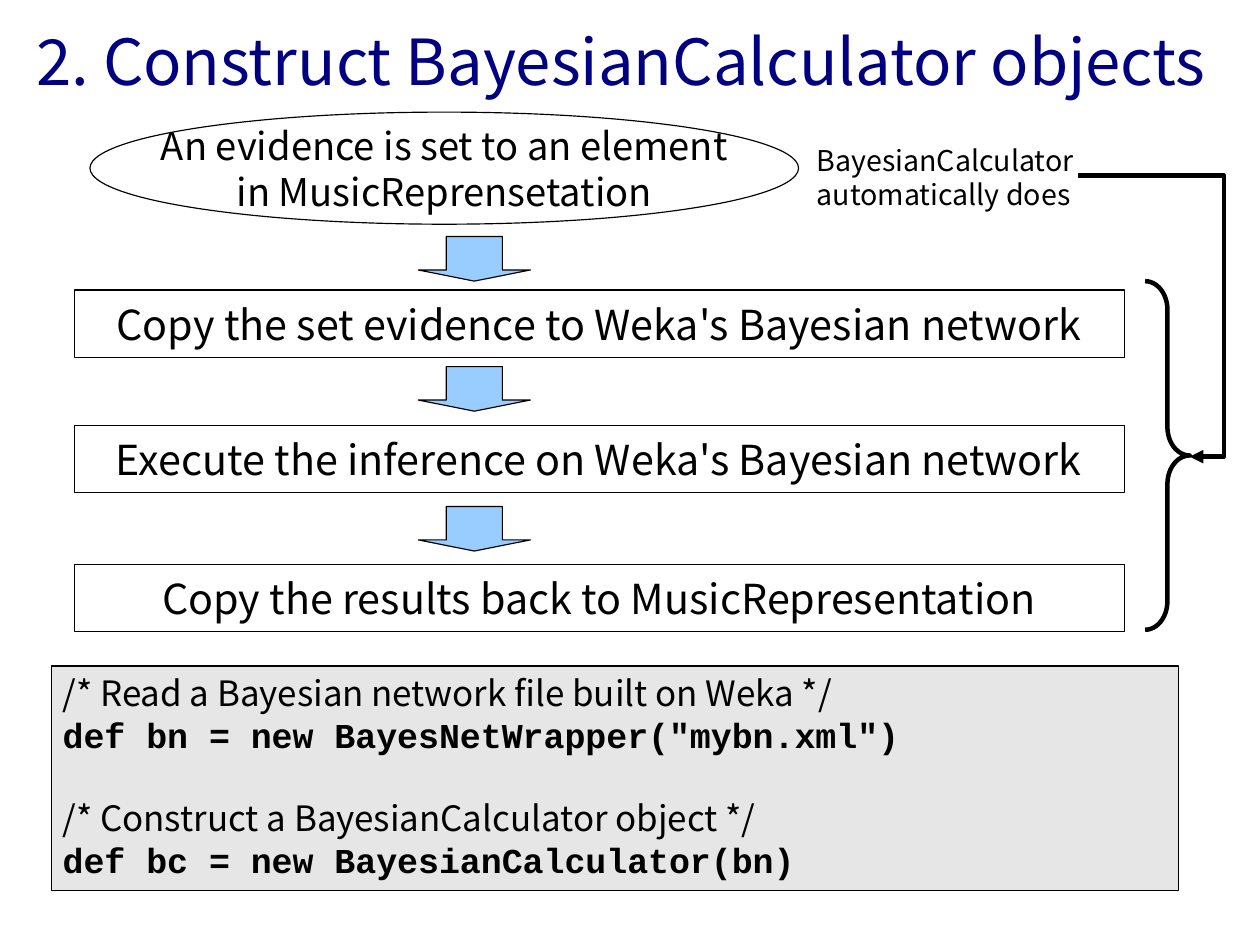
from dataclasses import dataclass

from lxml import etree
from pptx import Presentation
from pptx.dml.color import RGBColor
from pptx.enum.shapes import MSO_SHAPE as Shp
from pptx.enum.text import MSO_ANCHOR as Anchor, PP_ALIGN as Align
from pptx.oxml.ns import qn
from pptx.util import Pt

SANS = "Noto Sans CJK JP"
MONO = "Courier New"
BLACK = "000000"


@dataclass
class Box:
    left: float
    top: float
    width: float
    height: float

    def lengths(self) -> list:
        return [Pt(v) for v in (self.left, self.top, self.width, self.height)]


@dataclass
class Step:
    text: str
    arrow_top: float
    top: float


STEPS = [
    Step("Copy the set evidence to Weka's Bayesian network", 149, 182.7),
    Step("Execute the inference on Weka's Bayesian network", 230.9, 267.8),
    Step("Copy the results back to MusicRepresentation", 319, 355.5),
]
CODE = [
    "/* Read a Bayesian network file built on Weka */",
    'def bn = new BayesNetWrapper("mybn.xml")',
    "/* Construct a BayesianCalculator object */",
    "def bc = new BayesianCalculator(bn)",
]


def rgb(color: str) -> RGBColor:
    return RGBColor.from_string(color)


def style(sp, fill: str = "", line: float = 0) -> None:
    sp.shadow.inherit = False
    if fill:
        sp.fill.solid()
        sp.fill.fore_color.rgb = rgb(fill)
    else:
        sp.fill.background()
    sp.line.color.rgb = rgb(BLACK)
    sp.line.width = Pt(line)


def add_shape(s, kind: Shp, box: Box, fill: str = "", line: float = 0):
    sp = s.shapes.add_shape(kind, *box.lengths())
    style(sp, fill, line)
    return sp


def write(sp, lines: list[str], size: float, color: str = BLACK,
          align: Align = Align.CENTER, anchor: Anchor = Anchor.MIDDLE,
          wrap: bool = False) -> None:
    tf = sp.text_frame
    tf.text = "\n".join(lines)
    tf.word_wrap = wrap
    tf.vertical_anchor = anchor
    for p in tf.paragraphs:
        p.alignment = align
        for r in p.runs:
            r.font.size = Pt(size)
            r.font.name = SANS
            r.font.color.rgb = rgb(color)


def add_title(s) -> None:
    sp = s.shapes.title
    sp.left, sp.top, sp.width, sp.height = Box(14.2, 10.6, 753.8, 54.7).lengths()
    write(sp, ["2. Construct BayesianCalculator objects"], 40, "000080", wrap=True)
    tf = sp.text_frame
    tf.margin_left = tf.margin_right = tf.margin_top = tf.margin_bottom = 0


def add_code(s) -> None:
    sp = add_shape(s, Shp.RECTANGLE, Box(32.4, 419.5, 709.9, 141.5), "E6E6E6")
    write(sp, CODE, 22, align=Align.LEFT, anchor=Anchor.TOP, wrap=True)
    paragraphs = sp.text_frame.paragraphs
    for p in paragraphs[1::2]:
        p.runs[0].font.name = MONO
        p.runs[0].font.bold = True
    paragraphs[2].space_before = Pt(26)


def add_steps(s) -> None:
    for step in STEPS:
        arrow = add_shape(s, Shp.DOWN_ARROW, Box(263.5, step.arrow_top, 70.6, 28.1), "99CCFF")
        arrow.adjustments[1] = 0.25
        sp = add_shape(s, Shp.RECTANGLE, Box(46.8, step.top, 661.7, 42.5))
        write(sp, [step.text], 26)


def add_pointer(s, points: list[tuple[float, float]]) -> None:
    start, *rest = [(Pt(x), Pt(y)) for x, y in points]
    builder = s.shapes.build_freeform(*start)
    builder.add_line_segments(rest, close=False)
    sp = builder.convert_to_shape()
    style(sp, line=2.83)
    ln = sp.element.spPr.find(qn("a:ln"))
    etree.SubElement(ln, qn("a:tailEnd"), type="triangle")


def main() -> None:
    prs = Presentation()
    prs.slide_width, prs.slide_height = Pt(793.75), Pt(595.25)
    s = prs.slides.add_slide(prs.slide_layouts[5])

    # Title and code sample
    add_title(s)
    add_code(s)

    # Flow from the evidence through the steps
    evidence = add_shape(s, Shp.OVAL, Box(56.7, 70.6, 446.4, 70.6))
    write(evidence, ["An evidence is set to an element", "in MusicReprensetation"], 24)
    add_steps(s)

    # Brace over the automatic steps, with its label
    brace = add_shape(s, Shp.RIGHT_BRACE, Box(721.4, 177.1, 28.1, 219.6), line=2.83)
    brace.adjustments[0] = 0.64
    add_pointer(s, [(679, 110.6), (771.1, 110.6), (771.1, 287.7), (749.5, 287.7)])
    label = s.shapes.add_textbox(*Box(507.4, 86.4, 179.3, 56.2).lengths())
    write(label, ["BayesianCalculator\vautomatically does"], 18,
          align=Align.LEFT, anchor=Anchor.TOP)

    prs.save("out.pptx")


if __name__ == "__main__":
    main()
